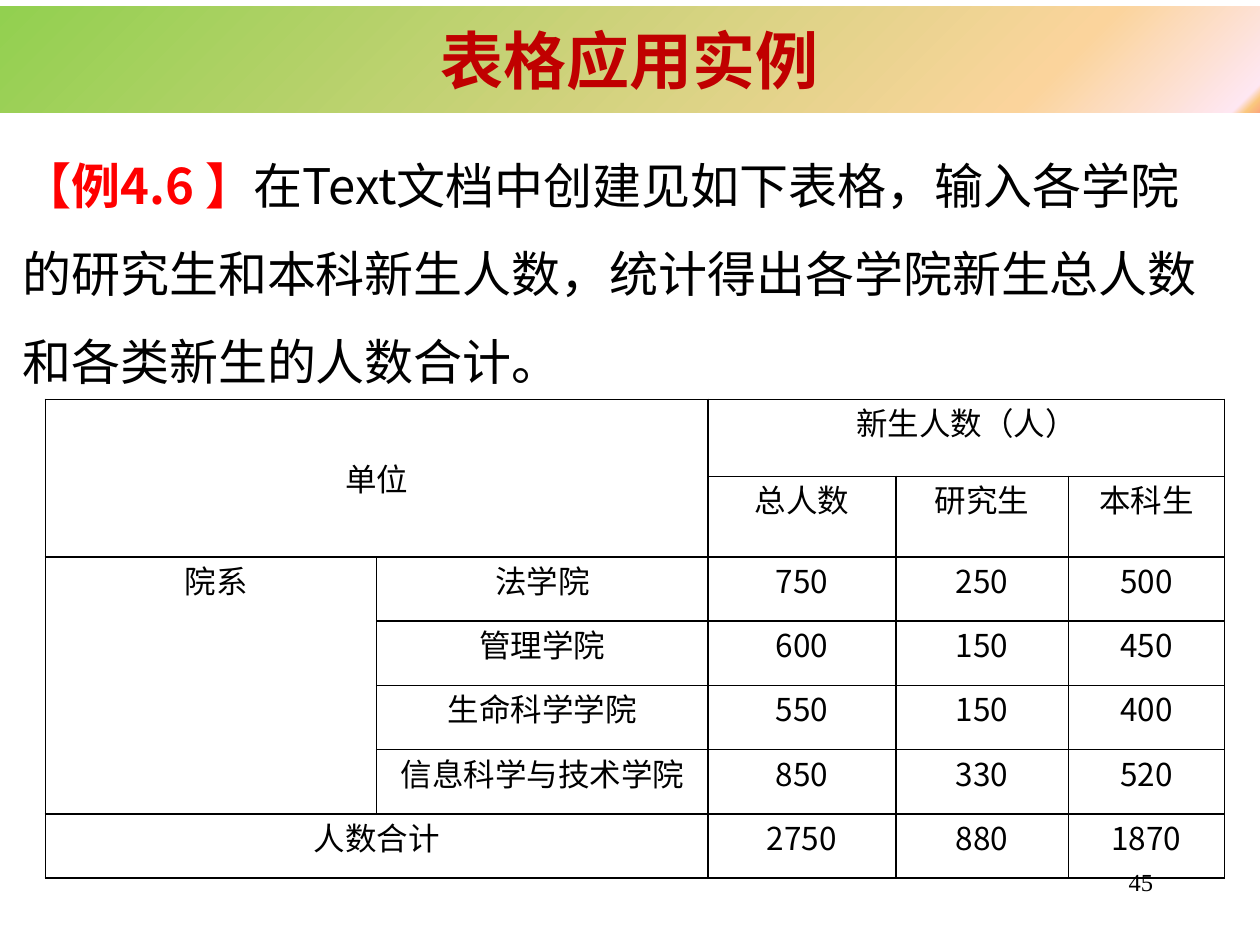
import pptx
import pptx.util
import pptx.oxml
import pptx.oxml.ns
import pptx.dml.color
import pptx.enum.shapes
import pptx.enum.text
from lxml import etree

Inches = pptx.util.Inches
Pt = pptx.util.Pt
qn = pptx.oxml.ns.qn
ALIGN = pptx.enum.text.PP_ALIGN
ANCHOR = pptx.enum.text.MSO_ANCHOR

SANS = "Noto Sans CJK SC"
TITLE = {"size": Pt(36), "name": SANS, "bold": True, "color": "C00000"}
LABEL = {"size": Pt(28), "name": SANS, "bold": True, "color": "FF0000"}
BODY = {"size": Pt(28), "name": SANS, "bold": False, "color": "000000"}
CELL = {"size": Pt(18), "name": SANS, "bold": False, "color": "000000"}
PAGE = {"size": Pt(14), "name": "Times New Roman", "color": "000000"}

STOPS = [(0, "92D050"), (82, "FBD49C"), (98, "FEE7F2"),
         (99, "FAC77D"), (100, "FBA97D"), (100, "FEE7F2")]
COLS = [2.63, 2.63, 1.49, 1.37, 1.24]
ROWS = [0.61, 0.64] + [0.51] * 5
DATA = [
    ["单位", "", "新生人数（人）", "", ""],
    ["", "", "总人数", "研究生", "本科生"],
    ["院系", "法学院", "750", "250", "500"],
    ["", "管理学院", "600", "150", "450"],
    ["", "生命科学学院", "550", "150", "400"],
    ["", "信息科学与技术学院", "850", "330", "520"],
    ["人数合计", "", "2750", "880", "1870"],
]
SPANS = [((0, 0), (1, 1)), ((0, 2), (0, 4)),
         ((2, 0), (5, 0)), ((6, 0), (6, 1))]


def rgb(code):
    return pptx.dml.color.RGBColor.from_string(code)


def add_run(para, text, style):
    run = para.add_run()
    run.text = text
    for key, value in style.items():
        if key == "color":
            run.font.color.rgb = rgb(value)
        else:
            setattr(run.font, key, value)
    east = etree.SubElement(run.font._element, qn("a:ea"))
    east.set("typeface", style["name"])


def write(frame, runs, align, space=None):
    para = frame.paragraphs[0]
    para.alignment = align
    para.line_spacing = space
    for text, style in runs:
        add_run(para, text, style)


def add_text(slide, box, runs, align, space=None):
    frame = slide.shapes.add_textbox(*map(Inches, box)).text_frame
    frame.word_wrap = True
    write(frame, runs, align, space)


def add_band(slide, box, text):
    band = slide.shapes.add_shape(
        pptx.enum.shapes.MSO_SHAPE.RECTANGLE, *map(Inches, box))
    band.shadow.inherit = False
    band.line.fill.background()
    band.fill.gradient()
    band.fill.gradient_angle = 315
    stops = band._element.spPr.find(qn("a:gradFill")).find(qn("a:gsLst"))
    for stop in list(stops):
        stops.remove(stop)
    for place, code in STOPS:
        stop = etree.SubElement(stops, qn("a:gs"), pos=str(place * 1000))
        etree.SubElement(stop, qn("a:srgbClr"), val=code)
    band.text_frame.vertical_anchor = ANCHOR.MIDDLE
    write(band.text_frame, [(text, TITLE)], ALIGN.CENTER)


def set_edges(cell, code, width):
    props = cell._tc.get_or_add_tcPr()
    for side in ("lnL", "lnR", "lnT", "lnB"):
        line = etree.SubElement(props, qn("a:" + side), w=str(Pt(width)))
        fill = etree.SubElement(line, qn("a:solidFill"))
        etree.SubElement(fill, qn("a:srgbClr"), val=code)


def fill_cell(cell, text):
    form = {"margin_left": Inches(0.07), "margin_right": Inches(0.07),
            "margin_top": 0, "margin_bottom": 0,
            "vertical_anchor": ANCHOR.TOP}
    for key, value in form.items():
        setattr(cell, key, value)
    set_edges(cell, "000000", 1)
    cell.fill.background()
    if text:
        write(cell.text_frame, [(text, CELL)], ALIGN.CENTER)


def add_grid(slide, left, top):
    table = slide.shapes.add_table(
        len(ROWS), len(COLS), Inches(left), Inches(top),
        Inches(sum(COLS)), Inches(sum(ROWS))).table
    table.first_row = table.horz_banding = False
    for col, width in zip(table.columns, COLS):
        col.width = Inches(width)
    for row, height, texts in zip(table.rows, ROWS, DATA):
        row.height = Inches(height)
        for cell, text in zip(row.cells, texts):
            fill_cell(cell, text)
    for start, end in SPANS:
        table.cell(*start).merge(table.cell(*end))
    table.cell(0, 0).vertical_anchor = ANCHOR.MIDDLE
    group = table.cell(2, 0)
    group._tc.tcPr.set("vert", "eaVert")
    props = group.text_frame.paragraphs[0]._p.get_or_add_pPr()
    props.set("marL", str(Inches(0.08)))


def main():
    deck = pptx.Presentation()
    deck.slide_width, deck.slide_height = Inches(10), Inches(7.5)
    slide = deck.slides.add_slide(deck.slide_layouts[6])
    add_band(slide, (0, 0.05, 10, 0.84), "表格应用实例")
    task = ("在Text文档中创建见如下表格，输入各学院的研究生和本科新生人数，"
            "统计得出各学院新生总人数和各类新生的人数合计。")
    add_text(slide, (0.08, 0.95, 9.73, 2.22),
             [("【例4.6 】", LABEL), (task, BODY)], ALIGN.LEFT, 1.5)
    add_grid(slide, 0.36, 3.17)
    add_text(slide, (7.17, 6.83, 2.08, 0.5), [("45", PAGE)], ALIGN.RIGHT)
    deck.save("out.pptx")


if __name__ == "__main__":
    main()
